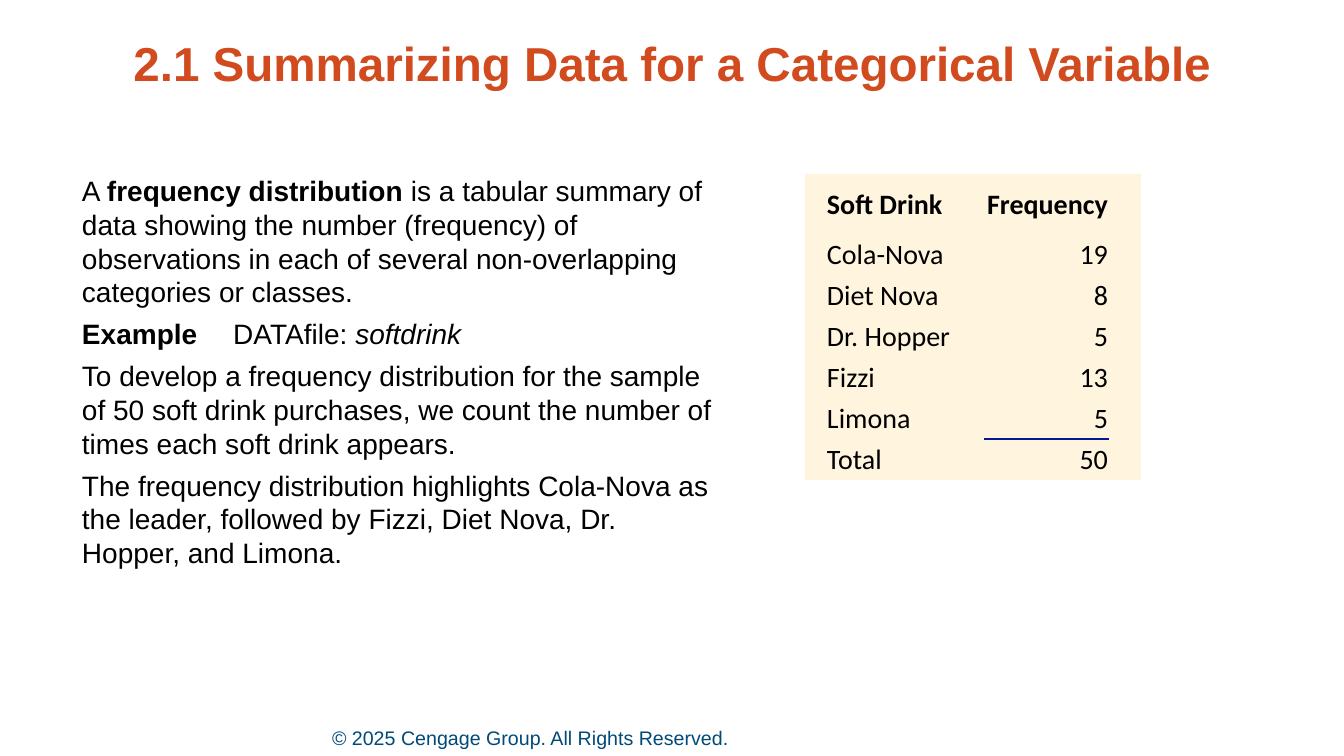
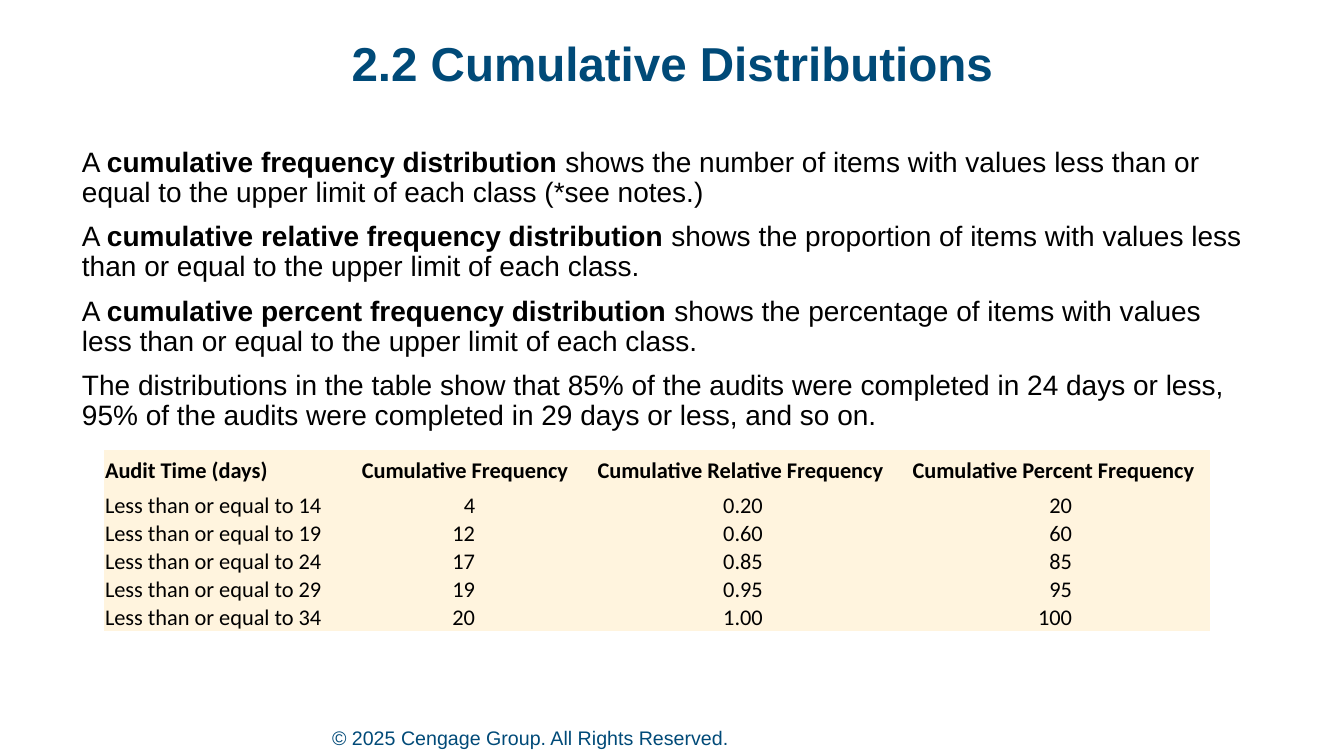
from lxml import etree
from pptx import Presentation
from pptx.dml.color import RGBColor
from pptx.enum.text import MSO_ANCHOR, PP_ALIGN
from pptx.oxml.ns import qn
from pptx.util import Pt

EMU_PER_PX = 914400 / 100.8
LEFT, CENTER, RIGHT = PP_ALIGN.LEFT, PP_ALIGN.CENTER, PP_ALIGN.RIGHT
TOP, MIDDLE, BOTTOM = MSO_ANCHOR.TOP, MSO_ANCHOR.MIDDLE, MSO_ANCHOR.BOTTOM
NO_GRID_STYLE = "{2D5ABB26-0587-4C30-8999-92F81FD0307C}"
BLACK, BLUE, ORANGE, CREAM, RULE = "000000", "004A78", "D14B1E", "FFF4DE", "011892"
FOOTER = "© 2025 Cengage Group. All Rights Reserved."


def px(length):
    return round(length * EMU_PER_PX)


def write(frame, paragraphs, size, font="Arial", color=BLACK, **layout):
    for index, runs in enumerate(paragraphs):
        paragraph = frame.paragraphs[0] if index == 0 else frame.add_paragraph()
        spacing = {"space_before": Pt(layout.get("gap", 0) if index else 0)}
        spacing["alignment"] = layout.get("align", LEFT)
        spacing["line_spacing"] = layout.get("leading", 1.0)
        for name, value in spacing.items():
            setattr(paragraph, name, value)
        for text, style in runs:
            run = paragraph.add_run()
            run.text = text
            looks = {"size": Pt(size), "name": font, "bold": "b" in style, "italic": "i" in style}
            for name, value in looks.items():
                setattr(run.font, name, value)
            run.font.color.rgb = RGBColor.from_string(color)


slides = [
    {
        "title": "2.1 Summarizing Data for a Categorical Variable",
        "title_color": ORANGE,
        "body_box": (82, 174, 633, 469),
        "body_layout": {"gap": 6},
        "body": [
            [("A ", ""), ("frequency distribution ", "b"),
             ("is a tabular summary of data showing the number (frequency) of observations "
              "in each of several non-overlapping categories or classes.", "")],
            [("Example\t", "b"), ("DATAfile: ", ""), ("softdrink", "i")],
            [("To develop a frequency distribution for the sample of 50 soft drink purchases, "
              "we count the number of times each soft drink appears.", "")],
            [("The frequency distribution highlights Cola-Nova as the leader, followed by "
              "Fizzi, Diet Nova, Dr. Hopper, and Limona.", "")],
        ],
        "table_at": (805, 174),
        "columns": [21, 158, 125, 32],
        "row_heights": (60, 41),
        "table_size": 20,
        "header_aligns": [LEFT, LEFT, RIGHT, LEFT],
        "aligns": [LEFT, LEFT, RIGHT, LEFT],
        "header_insets": [1, 1, 1, 1],
        "insets": [1, 1, 1, 1],
        "rows": [
            ["", "Soft Drink", "Frequency", ""],
            ["", "Cola-Nova", "19", ""],
            ["", "Diet Nova", "8", ""],
            ["", "Dr. Hopper", "5", ""],
            ["", "Fizzi", "13", ""],
            ["", "Limona", "5", ""],
            ["", "Total", "50", ""],
        ],
        "rules": [(5, 2, "a:lnB"), (6, 2, "a:lnT")],
    },
    {
        "title": "2.2 Cumulative Distributions",
        "title_color": BLUE,
        "body_box": (82, 148, 1169, 295),
        "body_layout": {"gap": 10, "leading": 0.9},
        "body": [
            [("A ", ""), ("cumulative frequency distribution ", "b"),
             ("shows the number of items with values less than or equal to the upper limit "
              "of each class (*see notes.)", "")],
            [("A ", ""), ("cumulative relative frequency distribution ", "b"),
             ("shows the proportion of items with values less than or equal to the upper limit "
              "of each class.", "")],
            [("A ", ""), ("cumulative percent frequency distribution ", "b"),
             ("shows the percentage of items with values less than or equal to the upper limit "
              "of each class.", "")],
            [("The distributions in the table show that 85% of the audits were completed in "
              "24 days or less, 95% of the audits were completed in 29 days or less, "
              "and so on.", "")],
        ],
        "table_at": (104, 450),
        "columns": [247, 233, 318, 308],
        "row_heights": (41, 28),
        "table_size": 16,
        "header_aligns": [LEFT, CENTER, CENTER, CENTER],
        "aligns": [LEFT, RIGHT, CENTER, RIGHT],
        "header_insets": [1, 6, 6, 6],
        "insets": [1, 109, 1, 138],
        "rows": [
            ["Audit Time (days)", "Cumulative Frequency", "Cumulative Relative Frequency",
             "Cumulative Percent Frequency"],
            ["Less than or equal to 14", "4", "0.20", "20"],
            ["Less than or equal to 19", "12", "0.60", "60"],
            ["Less than or equal to 24", "17", "0.85", "85"],
            ["Less than or equal to 29", "19", "0.95", "95"],
            ["Less than or equal to 34", "20", "1.00", "100"],
        ],
        "rules": [],
    },
]

prs = Presentation()
prs.slide_width, prs.slide_height = px(1344), px(756)

for content in slides:
    slide = prs.slides.add_slide(prs.slide_layouts[6])

    text_blocks = [
        ((332, 725, 987, 29), BOTTOM, 5, [[(FOOTER, "")]], {"size": 14, "color": BLUE}),
        ((93, 40, 1159, 75), TOP, 0, [[(content["title"], "b")]],
         {"size": 34, "color": content["title_color"], "align": CENTER, "leading": 0.9}),
        (content["body_box"], TOP, 0, content["body"], {"size": 20, **content["body_layout"]}),
    ]
    for box, anchor, bottom_inset, paragraphs, look in text_blocks:
        frame = slide.shapes.add_textbox(*map(px, box)).text_frame
        settings = {"word_wrap": True, "vertical_anchor": anchor, "margin_left": 0,
                    "margin_right": 0, "margin_top": 0, "margin_bottom": px(bottom_inset)}
        for name, value in settings.items():
            setattr(frame, name, value)
        write(frame, paragraphs, **look)

    rows, columns = content["rows"], content["columns"]
    header_height, row_height = content["row_heights"]
    heights = [header_height] + [row_height] * (len(rows) - 1)
    table_box = (*content["table_at"], sum(columns), sum(heights))
    table = slide.shapes.add_table(len(rows), len(columns), *map(px, table_box)).table
    table.first_row = table.horz_banding = False
    table._tbl.tblPr.find(qn("a:tableStyleId")).text = NO_GRID_STYLE
    for column, width in zip(table.columns, columns):
        column.width = px(width)

    for r, values in enumerate(rows):
        table.rows[r].height = px(heights[r])
        prefix = "" if r else "header_"
        for c, value in enumerate(values):
            cell = table.cell(r, c)
            settings = {"vertical_anchor": MIDDLE, "margin_left": px(1), "margin_top": px(1),
                        "margin_right": px(content[prefix + "insets"][c]), "margin_bottom": 0}
            for name, setting in settings.items():
                setattr(cell, name, setting)
            cell.fill.solid()
            cell.fill.fore_color.rgb = RGBColor.from_string(CREAM)
            if value:
                write(cell.text_frame, [[(value, "" if r else "b")]], content["table_size"],
                      "Calibri", align=content[prefix + "aligns"][c])

    for r, c, side in content["rules"]:
        border = etree.Element(qn(side), w=str(Pt(1)))
        border_fill = etree.SubElement(border, qn("a:solidFill"))
        etree.SubElement(border_fill, qn("a:srgbClr"), val=RULE)
        table.cell(r, c)._tc.get_or_add_tcPr().insert(0, border)

prs.save("out.pptx")
